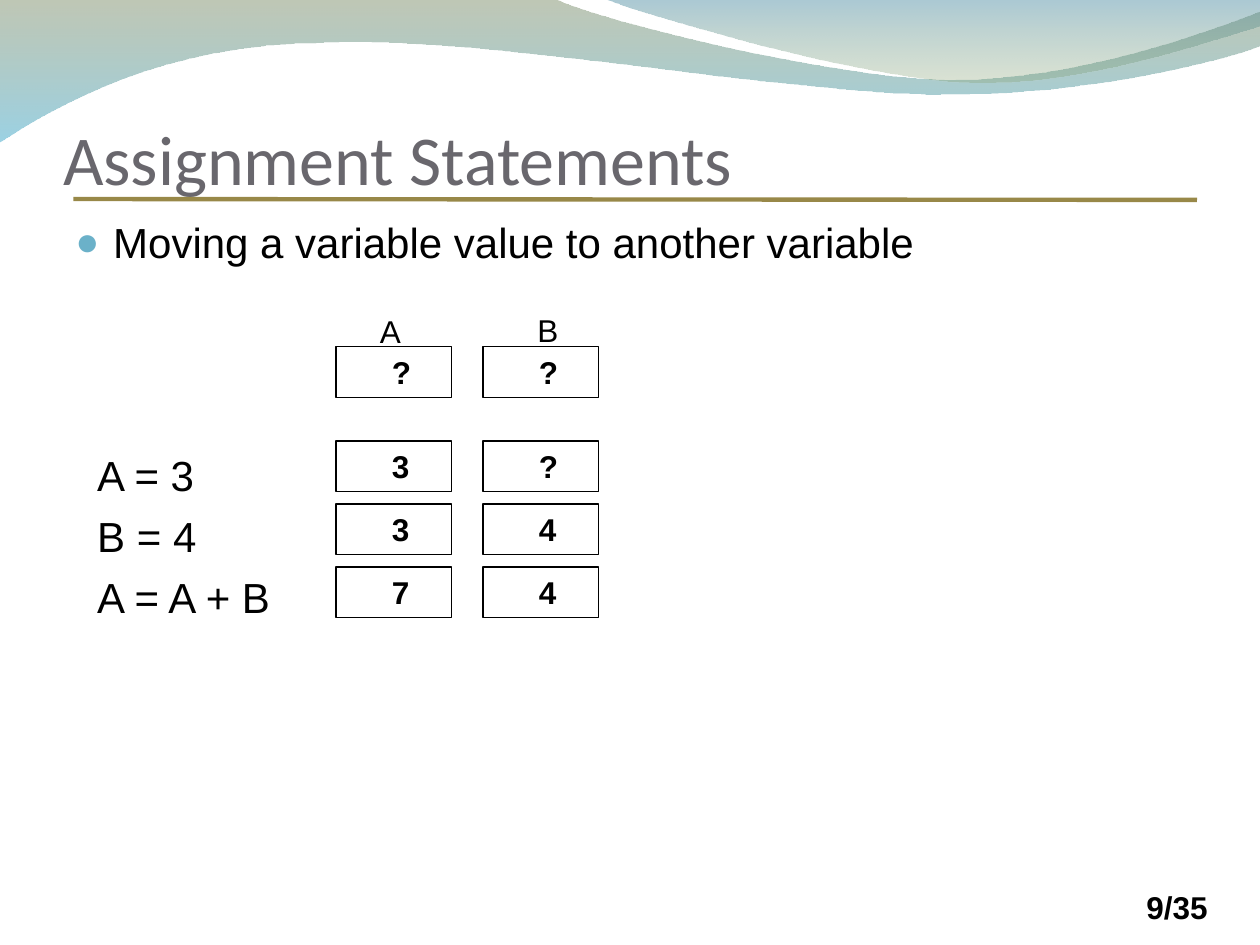
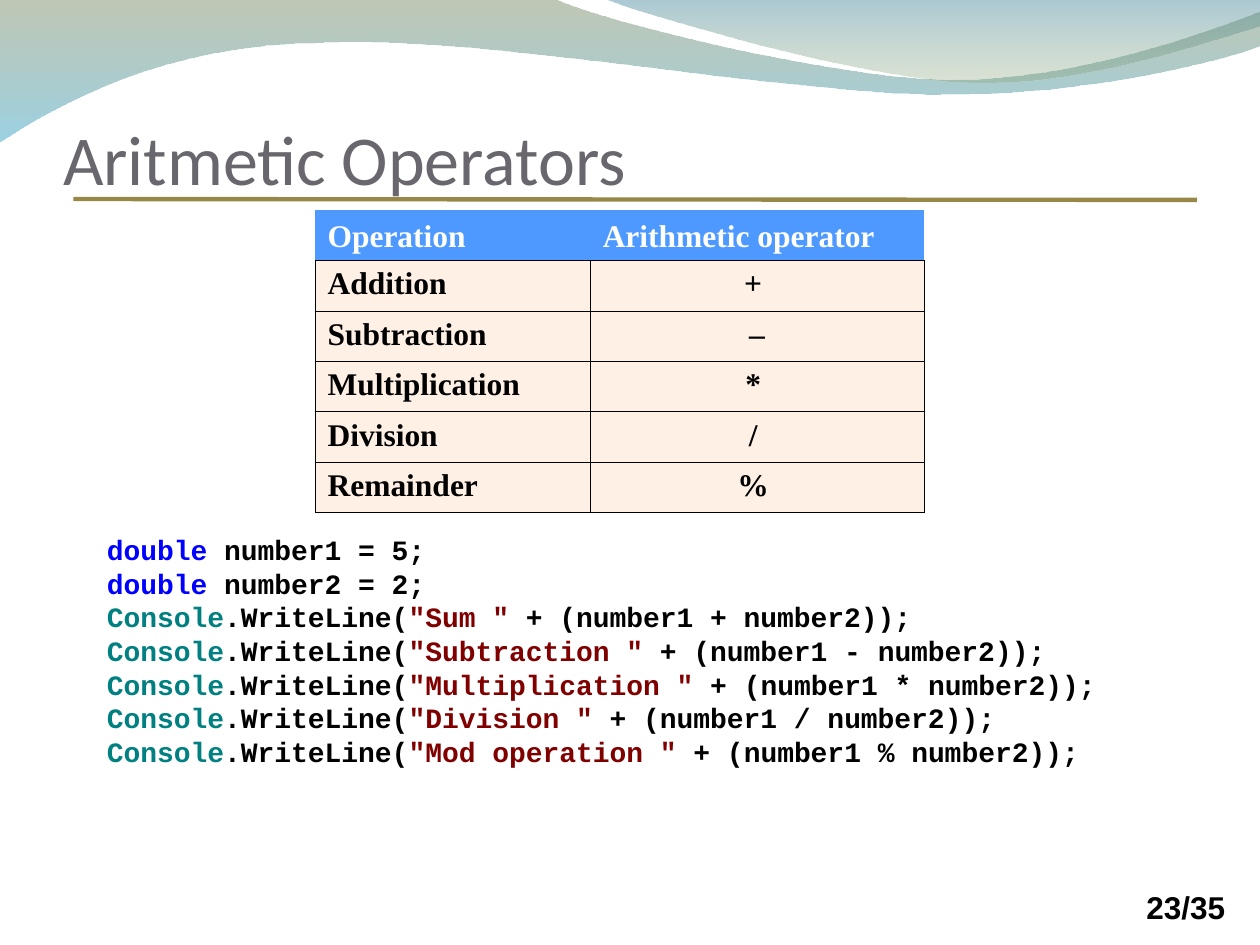
from lxml import etree
from pptx import Presentation
from pptx.dml.color import RGBColor
from pptx.enum import shapes, text
from pptx.oxml.ns import qn
from pptx.util import Pt

BLACK, WHITE = "000000", "FFFFFF"
TITLE_GRAY, RULE_GOLD, BULLET_BLUE = "69676D", "988848", "6BB1C9"
HEADER_BLUE, CELL_CREAM = "4D99FF", "FFF0E5"
KEYWORD, CLASS_NAME, STRING = "0000FF", "008080", "800000"
PAGE_COUNT = 35
NO_TABLE_STYLE = "{2D5ABB26-0587-4C30-8999-92F81FD0307C}"

# Each step is a line end (x, y) or a Bezier curve (two controls, then the end).
LEFT_WAVE = [
    (0, -0.7), (316.8, -0.7),
    (342.7, 12, 478, 45.4, 545.8, 45.4),
    (614.2, 45.4, 689.8, 18.7, 720, 6.5),
    (720.7, 26),
    (707.8, 31.7, 626.4, 54.7, 537.1, 54),
    (447.8, 54, 275, 20.2, 185, 24.5),
    (92.9, 25.2, 33.1, 59.8, -0.7, 81.4),
]
RIGHT_WAVE = [
    (344.9, -0.7),
    (366.5, 8, 491, 44.6, 553.7, 46.8),
    (616.3, 49.7, 691.9, 23, 720, 15),
    (720, 0),
]


def rgb(hex_code):
    return RGBColor.from_string(hex_code)


def add_child(parent, tag, **attrs):
    return etree.SubElement(parent, qn(tag), attrs)


def write(tf, paragraphs, size=18, font="Arial", color=BLACK, bold=False,
          align=text.PP_ALIGN.LEFT, gap=0):
    """Fill a text frame; a paragraph is a string or a list of (text, colour)."""
    for i, runs in enumerate(paragraphs):
        p = tf.paragraphs[0] if i == 0 else tf.add_paragraph()
        p.alignment = align
        if i:
            p.space_before = Pt(gap)
        for content, run_color in [(runs, color)] if isinstance(runs, str) else runs:
            r = p.add_run()
            r.text = content
            r.font.size, r.font.name, r.font.bold = Pt(size), font, bold
            r.font.color.rgb = rgb(run_color)


def add_text(s, box, paragraphs, anchor=text.MSO_ANCHOR.TOP, **fmt):
    tf = s.shapes.add_textbox(*map(Pt, box)).text_frame
    tf.word_wrap = True
    tf.vertical_anchor = anchor
    write(tf, paragraphs, **fmt)
    return tf


def set_indent(p, left, first=0):
    pPr = p._p.get_or_add_pPr()
    pPr.set("marL", str(Pt(left)))
    pPr.set("indent", str(Pt(first)))
    return pPr


def add_bullet(p):
    pPr = set_indent(p, 21.6, -21.6)
    add_child(add_child(pPr, "a:buClr"), "a:srgbClr", val=BULLET_BLUE)
    add_child(pPr, "a:buSzPct", val="95000")
    add_child(pPr, "a:buFont", typeface="Arial")
    add_child(pPr, "a:buChar", char="●")


def bend_curves(sp, steps):
    """Join the three segments of each curve step into one Bezier segment."""
    segments = iter(list(sp._element.iter(qn("a:lnTo"))))
    for step in steps[1:]:
        segment = next(segments)
        if len(step) == 6:
            curve = etree.Element(qn("a:cubicBezTo"))
            segment.addprevious(curve)
            for part in (segment, next(segments), next(segments)):
                curve.append(part[0])
                part.getparent().remove(part)


def add_wave(s, steps, stops):
    """Draw a borderless wave; stops are (colour, opacity in percent)."""
    points = [(Pt(step[i]), Pt(step[i + 1]))
              for step in steps for i in range(0, len(step), 2)]
    builder = s.shapes.build_freeform(*points[0], scale=1.0)
    builder.add_line_segments(points[1:], close=True)
    sp = builder.convert_to_shape()
    bend_curves(sp, steps)
    sp.shadow.inherit = False
    sp.line.fill.background()
    sp.fill.gradient()
    sp.fill.gradient_angle = 270
    for stop, position, (color, _) in zip(sp.fill.gradient_stops, (0, 1), stops):
        stop.position = position
        stop.color.rgb = rgb(color)
    for node, (_, opacity) in zip(sp._element.spPr.iter(qn("a:srgbClr")), stops):
        add_child(node, "a:alpha", val=str(opacity * 1000))


def add_rule(s, x1, y1, x2, y2):
    line = s.shapes.add_connector(shapes.MSO_CONNECTOR.STRAIGHT,
                                  *map(Pt, (x1, y1, x2, y2)))
    line.line.color.rgb = rgb(RULE_GOLD)
    line.line.width = Pt(2.5)
    add_child(line._element.spPr, "a:effectLst")


def add_slide(prs, title, page):
    """Add a slide with the waves, the title, its rule and the page number."""
    s = prs.slides.add_slide(prs.slide_layouts[5])
    add_wave(s, LEFT_WAVE, [("72845C", 45), ("49ACCD", 55)])
    add_wave(s, RIGHT_WAVE, [("42869E", 45), ("8AA26C", 30)])
    add_rule(s, 42, 113.75, 684, 114.25)
    add_text(s, (648, 504, 66, 29), [f"{page}/{PAGE_COUNT}"], bold=True)

    sp = s.shapes.title
    sp.left, sp.top, sp.width, sp.height = map(Pt, (36, 24, 648, 90))
    tf = sp.text_frame
    tf.auto_size = text.MSO_AUTO_SIZE.NONE
    tf.word_wrap = True
    tf.vertical_anchor = text.MSO_ANCHOR.BOTTOM
    tf.margin_left = tf.margin_right = tf.margin_bottom = 0
    tf.margin_top = Pt(3.6)
    write(tf, [title], size=40, font="Calibri", color=TITLE_GRAY)
    return s


def add_memory_box(s, x, y, value):
    sp = s.shapes.add_shape(shapes.MSO_SHAPE.RECTANGLE, *map(Pt, (x, y, 66, 29)))
    sp.shadow.inherit = False
    sp.fill.background()
    sp.line.color.rgb = rgb(BLACK)
    sp.line.width = Pt(0.75)
    tf = sp.text_frame
    tf.vertical_anchor = text.MSO_ANCHOR.TOP
    tf.margin_left = Pt(32)
    write(tf, [value], bold=True)


def set_borders(cell, sides):
    tcPr = cell._tc.get_or_add_tcPr()
    for side in "LRTB":
        ln = add_child(tcPr, f"a:ln{side}", w=str(Pt(0.45)))
        if side in sides:
            add_child(add_child(ln, "a:solidFill"), "a:srgbClr", val=BLACK)
        else:
            add_child(ln, "a:noFill")


def add_operator_table(s, rows):
    frame = s.shapes.add_table(len(rows), 2, *map(Pt, (180, 120, 348, 28.8 * len(rows))))
    table = frame.table
    table.first_row = table.horz_banding = False
    table._tbl.tblPr.find(qn("a:tableStyleId")).text = NO_TABLE_STYLE
    for column, width in zip(table.columns, (157.25, 190.75)):
        column.width = Pt(width)
    for i, row in enumerate(rows):
        table.rows[i].height = Pt(28.8)
        header = i == 0
        for j, content in enumerate(row):
            cell = table.cell(i, j)
            set_borders(cell, "B" if header else "LRTB")
            cell.fill.solid()
            cell.fill.fore_color.rgb = rgb(HEADER_BLUE if header else CELL_CREAM)
            cell.vertical_anchor = (text.MSO_ANCHOR.BOTTOM if header
                                    else text.MSO_ANCHOR.TOP)
            centred = j == 1 and not header
            write(cell.text_frame, [content], font="Times New Roman", bold=True,
                  color=WHITE if header else BLACK,
                  align=text.PP_ALIGN.CENTER if centred else text.PP_ALIGN.LEFT)


def declare_line(name, value):
    return [("double", KEYWORD), (f" {name} = {value};", BLACK)]


def print_line(label, operator):
    return [("Console", CLASS_NAME), (".WriteLine(", BLACK), (f'"{label} "', STRING),
            (f" + (number1 {operator} number2));", BLACK)]


def build_assignment_slide(prs):
    s = add_slide(prs, "Assignment Statements", 9)
    tf = add_text(s, (36, 120.2, 648, 384),
                  ["Moving a variable value to another variable",
                   "A = 3", "B = 4", "A = A + B"], size=24, gap=6)
    heading, *statements = tf.paragraphs
    add_bullet(heading)
    for p in statements:
        set_indent(p, 12.5)
    statements[0].space_before = Pt(104.5)

    for y, values in zip((198, 252, 288, 324), ("??", "3?", "34", "74")):
        for column, value in enumerate(values):
            add_memory_box(s, 192 + 84 * column, y, value)
    add_text(s, (210, 175, 36, 28.8), ["A"])
    add_text(s, (300, 174.25, 36, 28.8), ["B"])


def build_operators_slide(prs):
    s = add_slide(prs, "Aritmetic Operators", 23)
    add_operator_table(s, [
        ("Operation", "Arithmetic operator"),
        ("Addition", "+ "),
        ("Subtraction", "–"),
        ("Multiplication", "* "),
        ("Division", "/ "),
        ("Remainder", "% "),
    ])
    prints = [("Sum", "+"), ("Subtraction", "-"), ("Multiplication", "*"),
              ("Division", "/"), ("Mod operation", "%")]
    code = [declare_line("number1", 5), declare_line("number2", 2)]
    code += [print_line(label, operator) for label, operator in prints]
    add_text(s, (54, 300.6, 630, 142), code, anchor=text.MSO_ANCHOR.MIDDLE,
             size=16, font="Courier New", bold=True)


def main():
    prs = Presentation()
    prs.slide_width, prs.slide_height = Pt(720), Pt(540)
    build_assignment_slide(prs)
    build_operators_slide(prs)
    prs.save("out.pptx")


if __name__ == "__main__":
    main()
